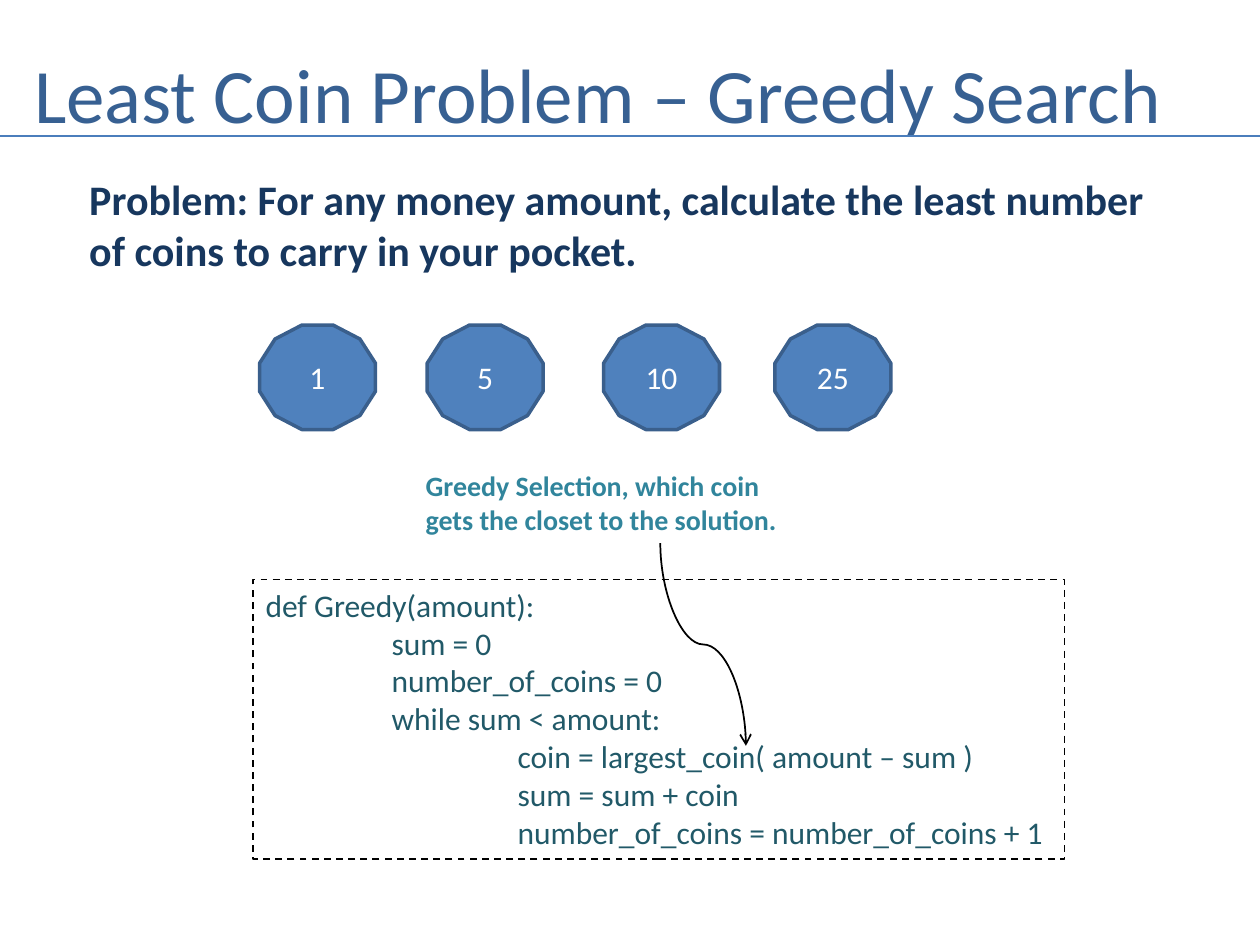
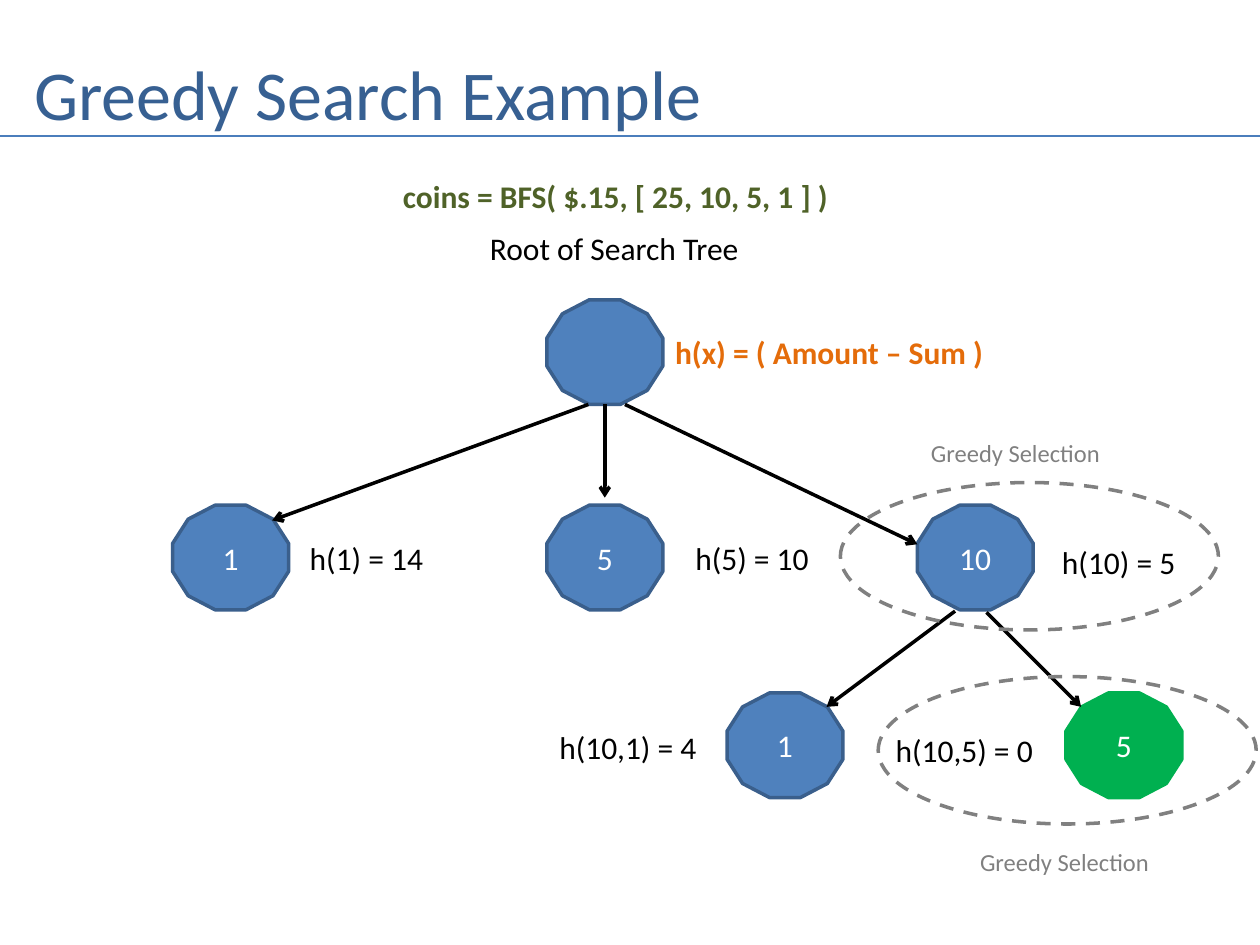
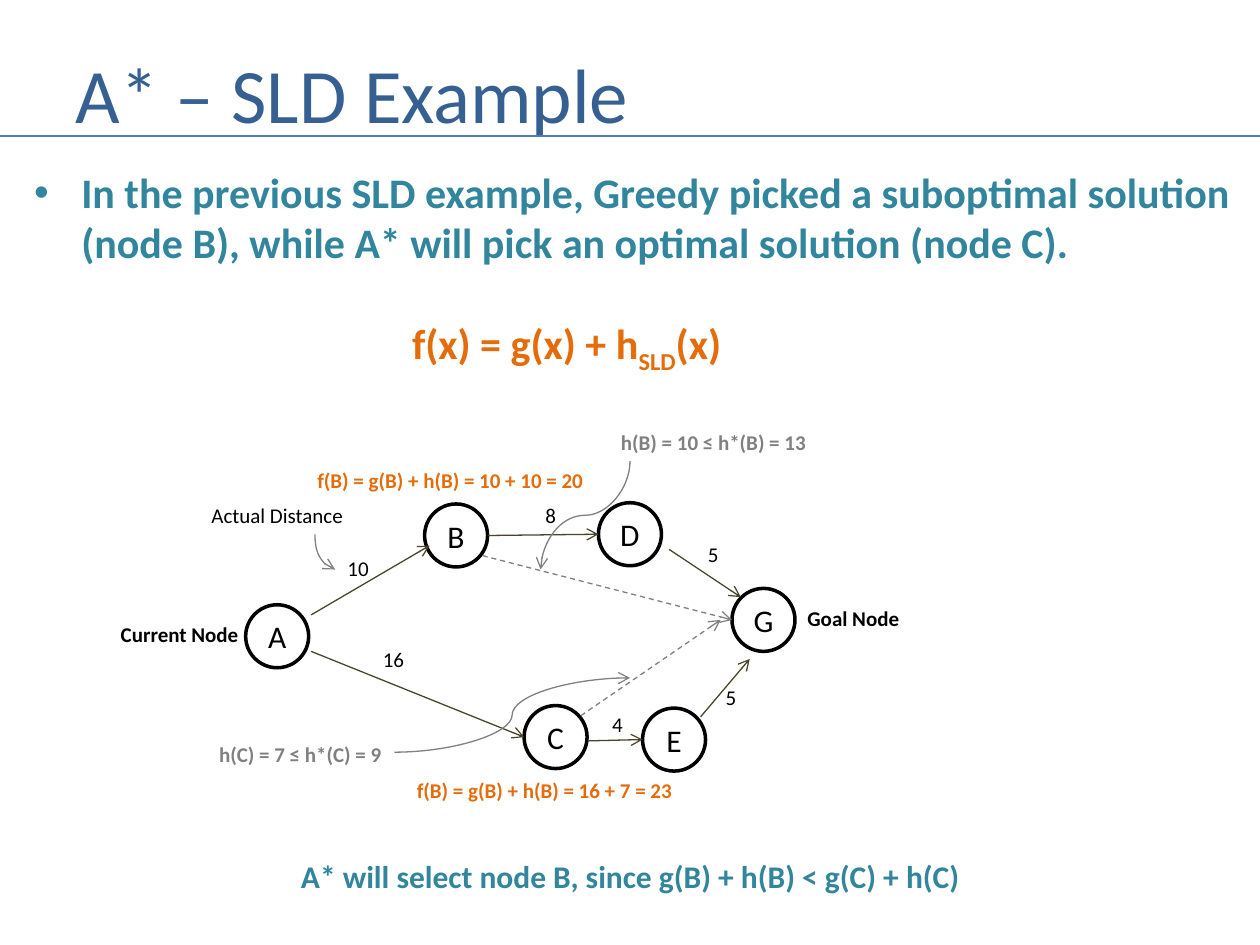
from lxml import etree
from pptx import Presentation
from pptx.dml.color import RGBColor
from pptx.enum.dml import MSO_LINE
from pptx.enum.shapes import MSO_CONNECTOR as CONNECTOR, MSO_SHAPE as SHAPE
from pptx.enum.text import MSO_ANCHOR as ANCHOR, MSO_AUTO_SIZE as AUTO_SIZE, PP_ALIGN as ALIGN
from pptx.oxml.ns import qn
from pptx.util import Inches, Pt

FONT = "Calibri"
BLACK = RGBColor(0x00, 0x00, 0x00)
WHITE = RGBColor(0xFF, 0xFF, 0xFF)
GRAY = RGBColor(0x80, 0x80, 0x80)
TITLE_BLUE = RGBColor(0x37, 0x60, 0x92)
RULE_BLUE = RGBColor(0x4B, 0x7E, 0xBC)
COIN_BLUE = RGBColor(0x4F, 0x81, 0xBD)
COIN_EDGE = RGBColor(0x3A, 0x5F, 0x8C)
NAVY = RGBColor(0x17, 0x37, 0x5E)
TEAL = RGBColor(0x31, 0x85, 0x9C)
DARK_TEAL = RGBColor(0x21, 0x59, 0x68)
OLIVE = RGBColor(0x4F, 0x62, 0x28)
ORANGE = RGBColor(0xE4, 0x6C, 0x0A)
GOAL_GREEN = RGBColor(0x00, 0xB0, 0x50)
EDGE_BROWN = RGBColor(0x4A, 0x45, 0x2A)


def add_text(slide, text, box, shape=None, size=18, color=BLACK, bold=False,
             wrap=False, fill=None, line=None, weight=2, dash=False, tabs=()):
    """Add a text box, or a preset shape with centred text; tabs are in inches."""
    box = [Inches(value) for value in box]
    if shape is None:
        item = slide.shapes.add_textbox(*box)
    else:
        item = slide.shapes.add_shape(shape, *box)
        item.shadow.inherit = False
        item.text_frame.vertical_anchor = ANCHOR.MIDDLE
    if fill is None:
        item.fill.background()
    else:
        item.fill.solid()
        item.fill.fore_color.rgb = fill
    if line is not None:
        item.line.color.rgb = line
        item.line.width = Pt(weight)
        if dash:
            item.line.dash_style = MSO_LINE.DASH
    item.text_frame.word_wrap = wrap
    item.text_frame.text = text
    for paragraph in item.text_frame.paragraphs:
        paragraph.alignment = ALIGN.LEFT if shape is None else ALIGN.CENTER
        if tabs:
            stops = etree.SubElement(paragraph._p.get_or_add_pPr(), qn("a:tabLst"))
            for stop in tabs:
                etree.SubElement(stops, qn("a:tab"), pos=str(Inches(stop)), algn="l")
        paragraph.font.name = FONT
        paragraph.font.size = Pt(size)
        paragraph.font.bold = bold
        paragraph.font.color.rgb = color


def add_line(slide, start, end, color=BLACK, weight=2.0, arrow=True, dash=False,
             curve=None, downward=False):
    """Add a line; curve names a curved preset, downward makes it leave vertically."""
    (x1, y1), (x2, y2) = start, end
    if downward:
        # A quarter turn about the centre swaps the width and height.
        side = 1 if x2 > x1 else -1
        mid_x, mid_y = (x1 + x2) / 2, (y1 + y2) / 2
        half_w, half_h = side * (y2 - y1) / 2, abs(x2 - x1) / 2
        x1, y1, x2, y2 = mid_x + half_w, mid_y - half_h, mid_x - half_w, mid_y + half_h
    kind = CONNECTOR.CURVE if curve else CONNECTOR.STRAIGHT
    link = slide.shapes.add_connector(kind, Inches(x1), Inches(y1), Inches(x2), Inches(y2))
    link.line.color.rgb = color
    link.line.width = Pt(weight)
    if dash:
        link.line.dash_style = MSO_LINE.DASH
    properties = link._element.spPr
    if downward:
        properties.find(qn("a:xfrm")).set("rot", str((270 if side > 0 else 90) * 60000))
    if curve:
        properties.find(qn("a:prstGeom")).set("prst", curve)
    if arrow:
        etree.SubElement(properties.find(qn("a:ln")), qn("a:tailEnd"), type="arrow")
    etree.SubElement(properties, qn("a:effectLst"))


prs = Presentation()
prs.slide_width, prs.slide_height = Inches(10), Inches(7.5)
TITLE_AND_BODY, TITLE_ONLY = prs.slide_layouts[1], prs.slide_layouts[5]

# Titles and rules
slides = []
for layout, heading, left, width, size in [
    (TITLE_ONLY, "Least Coin Problem – Greedy Search", 0.17, 9.61, 44),
    (TITLE_ONLY, "Greedy Search Example", 0.17, 9.75, 40),
    (TITLE_AND_BODY, "A* – SLD Example", 0.5, 9.08, 44),
]:
    slide = prs.slides.add_slide(layout)
    title = slide.shapes.title
    title.left, title.top = Inches(left), Inches(0.3)
    title.width, title.height = Inches(width), Inches(0.87)
    title.text_frame.text = heading
    title.text_frame.vertical_anchor = ANCHOR.MIDDLE
    paragraph = title.text_frame.paragraphs[0]
    paragraph.alignment = ALIGN.LEFT
    paragraph.font.name = FONT
    paragraph.font.size = Pt(size)
    paragraph.font.color.rgb = TITLE_BLUE
    add_line(slide, (0, 1.08), (10, 1.08), RULE_BLUE, 1.5, arrow=False)
    slides.append(slide)
coin_slide, tree_slide, graph_slide = slides

# Slide 1: the coin problem
COIN_SIZE = (0.92, 0.83)
COIN = dict(shape=SHAPE.DODECAGON, color=WHITE, fill=COIN_BLUE, line=COIN_EDGE)

for value, left in [("1", 2.06), ("5", 3.39), ("10", 4.79), ("25", 6.15)]:
    add_text(coin_slide, value, (left, 2.58, *COIN_SIZE), **COIN)
add_text(coin_slide,
         "Problem: For any money amount, calculate the least number of coins "
         "to carry in your pocket.",
         (0.61, 1.33, 8.72, 0.91), size=24, color=NAVY, bold=True, wrap=True)
greedy_code = """def Greedy(amount):
\tsum = 0
\tnumber_of_coins = 0
\twhile sum < amount:
\t\tcoin = largest_coin( amount – sum )
\t\tsum = sum + coin
\t\tnumber_of_coins = number_of_coins + 1"""
add_text(coin_slide, greedy_code, (2.01, 4.6, 6.44, 2.22), color=DARK_TEAL,
         line=BLACK, weight=1, dash=True, tabs=(1, 2))
add_text(coin_slide, "Greedy Selection, which coin\ngets the closet to the solution.",
         (3.28, 3.67, 3.02, 0.64), size=16, color=TEAL, bold=True)
add_line(coin_slide, (5.24, 4.31), (5.92, 5.92), weight=1,
         curve="curvedConnector3", downward=True)

# Slide 2: the search tree
for value, left, top in [("", 4.34, 2.38), ("1", 1.37, 4.01), ("5", 4.34, 4.01),
                         ("10", 7.28, 4.01), ("1", 5.77, 5.5)]:
    add_text(tree_slide, value, (left, top, *COIN_SIZE), **COIN)
add_text(tree_slide, "5", (8.46, 5.5, *COIN_SIZE),
         **{**COIN, "fill": GOAL_GREEN, "line": GOAL_GREEN})

for start, end in [((4.67, 3.21), (2.16, 4.13)), ((4.8, 3.21), (4.8, 3.95)),
                   ((4.96, 3.21), (7.28, 4.32)), ((7.58, 4.85), (6.56, 5.61)),
                   ((7.83, 4.86), (8.58, 5.61))]:
    add_line(tree_slide, start, end)

for text, left, top, width in [
    ("Root of Search Tree", 3.79, 1.77, 2.2),
    ("h(1) = 14", 2.36, 4.23, 1.12),
    ("h(5) = 10", 5.42, 4.23, 1.12),
    ("h(10) = 5", 8.33, 4.26, 1.12),
    ("h(10,1) = 4", 4.34, 5.73, 1.31),
    ("h(10,5) = 0", 7.01, 5.75, 1.31),
]:
    add_text(tree_slide, text, (left, top, width, 0.4))
add_text(tree_slide, "coins = BFS( $.15, [ 25, 10, 5, 1 ] )", (3.1, 1.36, 3.67, 0.4),
         color=OLIVE, bold=True)
add_text(tree_slide, "h(x) = ( Amount – Sum )", (5.26, 2.59, 2.79, 0.4),
         color=ORANGE, bold=True)

for ring, caption in [((6.67, 3.83), (7.29, 3.43)), ((6.97, 5.37), (7.68, 6.67))]:
    add_text(tree_slide, "", (*ring, 3, 1.17), shape=SHAPE.OVAL, line=GRAY, dash=True)
    add_text(tree_slide, "Greedy Selection", (*caption, 1.56, 0.34), size=14, color=GRAY)

# Slide 3: A* on the straight-line distance graph
body = graph_slide.placeholders[1]
body.left, body.top, body.width, body.height = [Inches(v) for v in (0.17, 1.27, 9.79, 1.72)]
frame = body.text_frame
frame.word_wrap = False
frame.auto_size = AUTO_SIZE.NONE
frame.text = ("In the previous SLD example, Greedy picked a suboptimal solution\v"
              "(node B), while A* will pick an optimal solution (node C).")
formula = frame.add_paragraph()
formula_properties = formula._p.get_or_add_pPr()
formula_properties.set("marL", str(Inches(3)))
formula_properties.set("indent", "0")
etree.SubElement(formula_properties, qn("a:buNone"))
for text, baseline in [("f(x) = g(x) + h", 0), ("SLD", -25000), ("(x)", 0)]:
    run = formula.add_run()
    run.text = text
    if baseline:
        run.font._element.set("baseline", str(baseline))
for paragraph, color, gap in zip(frame.paragraphs, (TEAL, ORANGE), (0, 29)):
    paragraph.space_before = Pt(gap)
    paragraph.font.name = FONT
    paragraph.font.size = Pt(24)
    paragraph.font.bold = True
    paragraph.font.color.rgb = color

for name, left, top in [("A", 1.95, 4.8), ("B", 3.37, 4), ("D", 4.75, 3.99),
                        ("C", 4.16, 5.6), ("E", 5.1, 5.62), ("G", 5.81, 4.67)]:
    add_text(graph_slide, name, (left, top, 0.5, 0.5), shape=SHAPE.OVAL,
             fill=WHITE, line=BLACK)

for start, end in [((2.47, 4.88), (3.41, 4.33)), ((2.47, 5.17), (4.16, 5.85)),
                   ((3.87, 4.25), (4.75, 4.24)), ((5.31, 4.36), (5.88, 4.74)),
                   ((5.56, 5.69), (5.95, 5.23)), ((4.67, 5.88), (5.1, 5.87))]:
    add_line(graph_slide, start, end, EDGE_BROWN, 0.75)
for start, end in [((3.83, 4.41), (5.81, 4.92)), ((4.61, 5.68), (5.72, 4.92))]:
    add_line(graph_slide, start, end, GRAY, 0.75, dash=True)
for start, end, curve, downward in [
    ((2.5, 4.24), (2.66, 4.52), "curvedConnector2", True),
    ((5, 3.66), (4.29, 4.52), "curvedConnector3", True),
    ((3.13, 5.97), (5, 5.38), "curvedConnector3", False),
]:
    add_line(graph_slide, start, end, GRAY, 0.75, curve=curve, downward=downward)

for text, left, top, width, color, bold in [
    ("10", 2.66, 4.36, 0.37, BLACK, False),
    ("8", 4.23, 3.94, 0.29, BLACK, False),
    ("16", 2.94, 5.08, 0.37, BLACK, False),
    ("5", 5.52, 4.25, 0.29, BLACK, False),
    ("4", 4.76, 5.6, 0.29, BLACK, False),
    ("5", 5.66, 5.38, 0.29, BLACK, False),
    ("Actual Distance", 1.58, 3.94, 1.26, BLACK, False),
    ("Current Node", 0.86, 4.88, 1.15, BLACK, True),
    ("Goal Node", 6.31, 4.76, 0.94, BLACK, True),
    ("h(B) = 10 ≤ h*(B) = 13", 4.83, 3.36, 1.7, GRAY, True),
    ("h(C) = 7 ≤ h*(C) = 9", 1.64, 5.84, 1.51, GRAY, True),
    ("f(B) = g(B) + h(B) = 10 + 10 = 20", 2.42, 3.66, 2.39, ORANGE, True),
    ("f(B) = g(B) + h(B) = 16 + 7 = 23", 3.21, 6.12, 2.39, ORANGE, True),
]:
    add_text(graph_slide, text, (left, top, width, 0.3), size=12, color=color, bold=bold)
add_text(graph_slide, "A* will select node B, since g(B) + h(B) < g(C) + h(C)",
         (2.29, 6.75, 5.48, 0.4), color=TEAL, bold=True)

prs.save("out.pptx")
